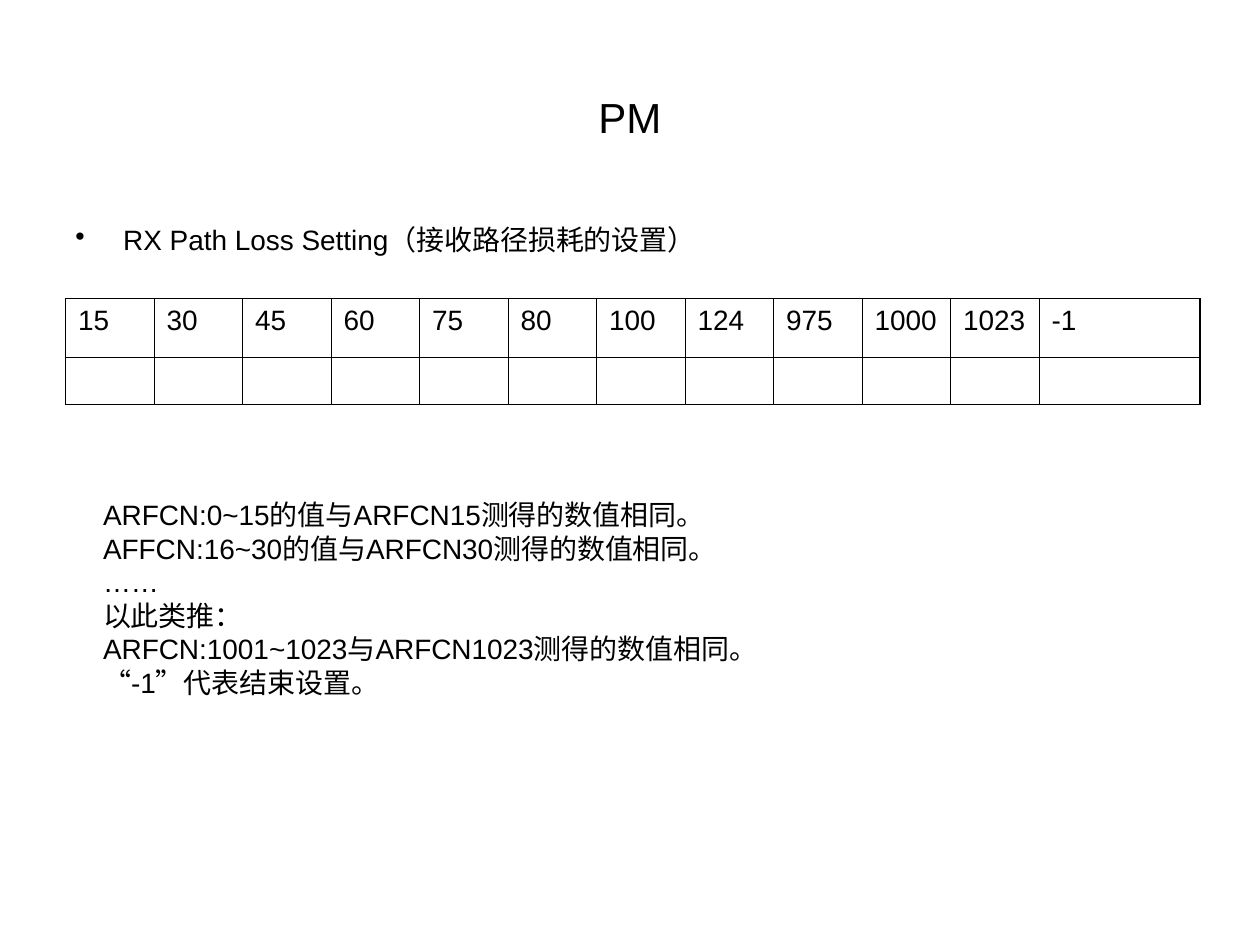
from lxml import etree
from pptx import Presentation
from pptx.dml.color import RGBColor
from pptx.enum.text import MSO_ANCHOR, PP_ALIGN
from pptx.oxml.ns import qn
from pptx.util import Inches, Pt

CENTER, LEFT = PP_ALIGN.CENTER, PP_ALIGN.LEFT
TOP, MIDDLE = MSO_ANCHOR.TOP, MSO_ANCHOR.MIDDLE

COLORS = {"ink": "000000"}
UNIT = 0.5  # grid of 20 columns by 15 rows, in inches
THIN, THICK = 0.45, 1.08  # table rules, in points

CHANNELS = ["15", "30", "45", "60", "75", "80", "100", "124",
            "975", "1000", "1023", "-1"]
NOTES = [
    "ARFCN:0~15的值与ARFCN15测得的数值相同。",
    "AFFCN:16~30的值与ARFCN30测得的数值相同。",
    "……",
    "以此类推：",
    "ARFCN:1001~1023与ARFCN1023测得的数值相同。",
    "“-1”代表结束设置。",
]


def grid(count):
    return Inches(count * UNIT)


class SlideBuilder:
    font = "Arial"
    size = 16

    def __init__(self, slide):
        self.slide = slide

    def style(self, para, size):
        for span in para.runs:
            span.font.name = self.font
            span.font.size = Pt(size)
            span.font.color.rgb = RGBColor.from_string(COLORS["ink"])

    def text(self, area, lines, size=size, align=LEFT, anchor=TOP):
        box = self.slide.shapes.add_textbox(*map(grid, area))
        frame = box.text_frame
        frame.word_wrap = True
        frame.vertical_anchor = anchor
        frame.text = "\n".join(lines)
        for para in frame.paragraphs:
            para.alignment = align
            self.style(para, size)
        return frame.paragraphs

    def bullets(self, area, lines):
        for para in self.text(area, lines):
            props = para._p.get_or_add_pPr()
            props.set("marL", str(Inches(0.38)))
            props.set("indent", str(Inches(-0.38)))
            color = etree.SubElement(props, qn("a:buClr"))
            etree.SubElement(color, qn("a:srgbClr"), val=COLORS["ink"])
            etree.SubElement(props, qn("a:buChar"), char="•")
            para.line_spacing = 0.9

    def border(self, cell, side, width):
        line = etree.SubElement(cell._tc.get_or_add_tcPr(),
                                qn(f"a:ln{side}"), w=str(Pt(width)))
        fill = etree.SubElement(line, qn("a:solidFill"))
        etree.SubElement(fill, qn("a:srgbClr"), val=COLORS["ink"])

    def table(self, left, top, widths, heights, rows):
        area = (left, top, sum(widths), sum(heights))
        table = self.slide.shapes.add_table(
            len(heights), len(widths), *map(grid, area)).table
        table.first_row = table.horz_banding = False
        for column, width in zip(table.columns, widths):
            column.width = grid(width)
        for row, height in zip(table.rows, heights):
            row.height = grid(height)
        last_row, last_column = len(heights) - 1, len(widths) - 1
        for r, values in enumerate(rows):
            for c, value in enumerate(values):
                cell = table.cell(r, c)
                # Thick rules on the outside, thin ones inside
                outer = {"L": c == 0, "R": c == last_column,
                         "T": r == 0, "B": r == last_row}
                for side, is_outer in outer.items():
                    self.border(cell, side, THICK if is_outer else THIN)
                cell.fill.background()
                para = cell.text_frame.paragraphs[0]
                if value:
                    para.text = value
                    self.style(para, self.size)
                else:
                    # Keeps an empty cell as low as its row
                    end = para._p.get_or_add_endParaRPr()
                    end.set("sz", str(self.size * 100))


def main():
    deck = Presentation()
    deck.slide_width, deck.slide_height = grid(20), grid(15)
    page = SlideBuilder(deck.slides.add_slide(deck.slide_layouts[6]))

    # Title and topic
    page.text((1, 0.6, 18, 2.5), ["PM"], 24, CENTER, MIDDLE)
    page.bullets((1, 3.5, 18.26, 10.8),
                 ["RX Path Loss Setting（接收路径损耗的设置）"])

    # Channel table, with a blank row for the measured losses
    page.table(1.04, 4.74, [1.405] * 11 + [2.56], [0.94, 0.74],
               [CHANNELS, [""] * len(CHANNELS)])

    # Explanation
    page.text((1.44, 7.8, 17.12, 3.64), NOTES)

    deck.save("out.pptx")


if __name__ == "__main__":
    main()
